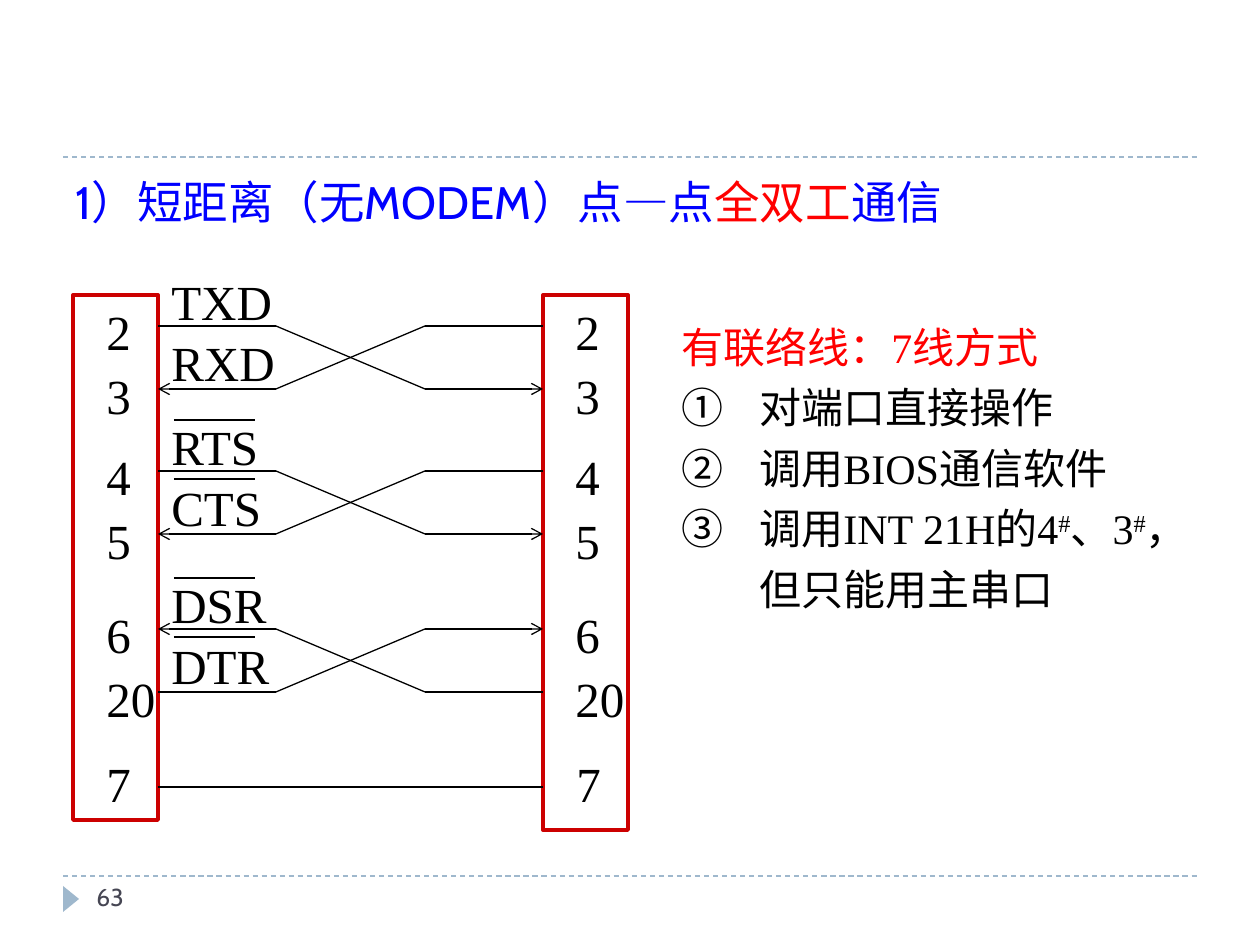
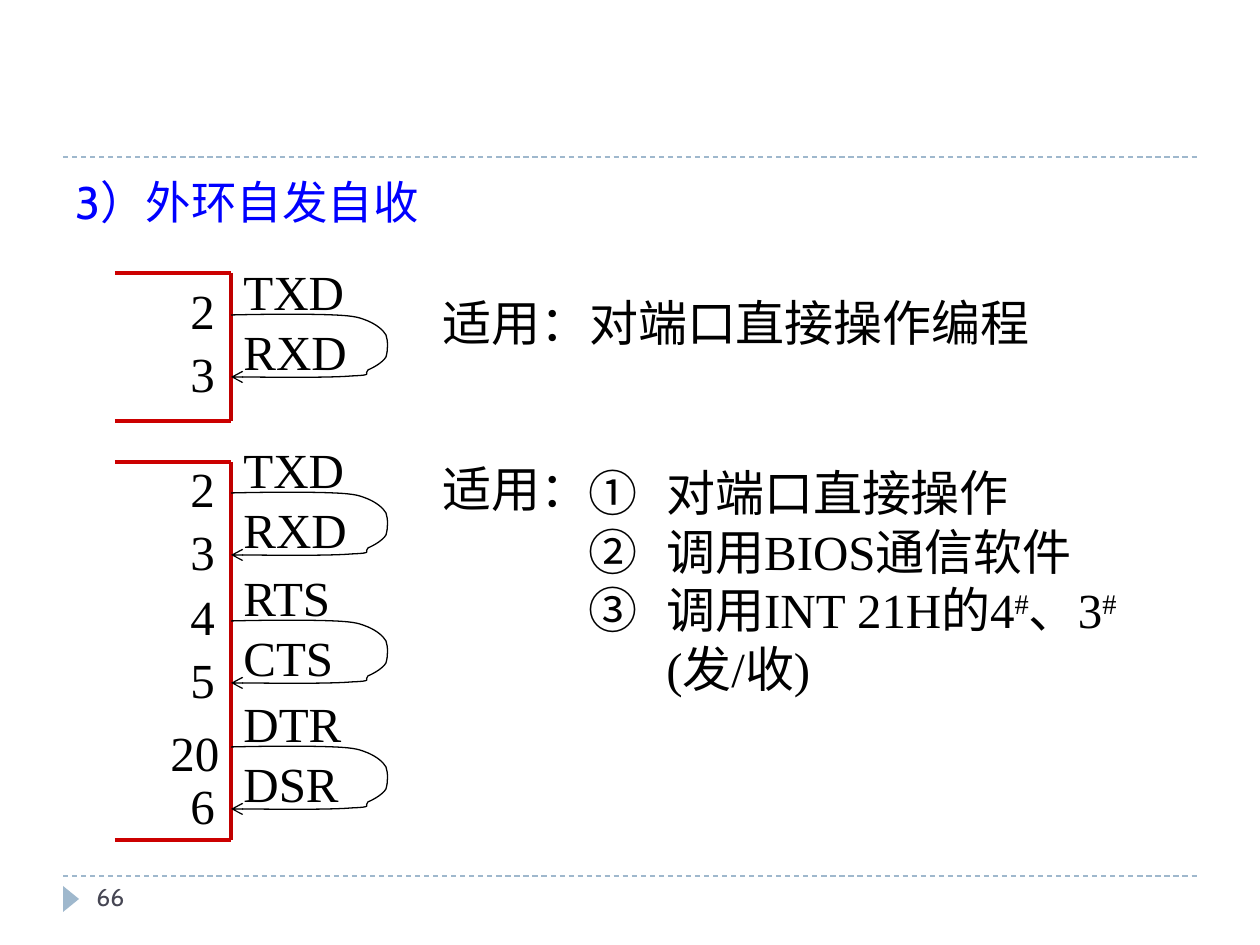
import collections
import dataclasses

import lxml.etree
import pptx
import pptx.dml.color
import pptx.enum.dml
import pptx.enum.shapes
import pptx.oxml.ns
import pptx.util

PX = 914400 / 126
Box = collections.namedtuple("Box", "x y w h")
Wire = collections.namedtuple("Wire", "top pins names entry barred")
Loop = collections.namedtuple("Loop", "top pins names")
Port = collections.namedtuple("Port", "box loops")


@dataclasses.dataclass(frozen=True)
class Theme:
    blue: str = "0000FF"
    red: str = "FF0000"
    frame: str = "CC0000"
    side: str = "C00000"
    black: str = "000000"
    rule: str = "9FB8CD"
    page: str = "464653"
    sans: str = "Cabin"
    serif: str = "Times New Roman"
    head: int = 26
    label: int = 28
    note: int = 24
    foot: int = 14
    thin: float = 0.75
    thick: float = 2.25


THEME = Theme()
PAGE = Box(0, 0, 1260, 945)
LINK = [
    Wire(31, ("2", "3"), ("TXD", "RXD"), 1, False),
    Wire(176, ("4", "5"), ("RTS", "CTS"), 1, True),
    Wire(334, ("6", "20"), ("DSR", "DTR"), 0, True),
]
DATA = (("2", "3"), ("TXD", "RXD"))
PORTS = [
    Port(Box(115, 273, 116, 148), [Loop(42, *DATA)]),
    Port(Box(115, 462, 116, 378), [
        Loop(31, *DATA),
        Loop(159, ("4", "5"), ("RTS", "CTS")),
        Loop(285, ("20", "6"), ("DTR", "DSR")),
    ]),
]
CURVE = [
    (40, -1), (81, -1), (103, 0),
    (126, 1), (129, 3), (137, 6),
    (146, 10), (152, 15), (155, 20),
    (157, 26), (157, 35), (155, 42),
    (152, 47), (144, 52), (137, 55),
    (132, 59), (144, 60), (121, 61),
    (97, 63), (20, 62), (0, 62),
]


def emu(*marks):
    return [round(mark * PX) for mark in marks]


def paint(color):
    return pptx.dml.color.RGBColor.from_string(color)


def add(parent, tag, **attrs):
    return lxml.etree.SubElement(parent, pptx.oxml.ns.qn(tag), **attrs)


def stroke(shape, color, width, arrow=False):
    shape.line.color.rgb = paint(color)
    shape.line.width = pptx.util.Pt(width)
    if arrow:
        add(shape.line._get_or_add_ln(), "a:tailEnd", type="arrow")


def line(slide, start, end, color=THEME.black, width=THEME.thin, arrow=False, dash=False):
    link = slide.shapes.add_connector(
        pptx.enum.shapes.MSO_CONNECTOR.STRAIGHT, *emu(*start, *end))
    stroke(link, color, width, arrow)
    if dash:
        link.line.dash_style = pptx.enum.dml.MSO_LINE.DASH
    add(link._element.spPr, "a:effectLst")


def frame(slide, box):
    text = slide.shapes.add_textbox(*emu(*box)).text_frame
    text.word_wrap = True
    return text


def style(para, size, color=THEME.black, name=THEME.serif):
    para.font.size = pptx.util.Pt(size)
    para.font.name = name
    para.font.color.rgb = paint(color)


def write(slide, box, words, size=THEME.label, color=THEME.black, name=THEME.serif):
    para = frame(slide, box).paragraphs[0]
    para.text = words
    style(para, size, color, name)


def label(slide, x, y, words):
    write(slide, Box(x, y, 180, 72), words)


def notes(slide, box, items, size, space, lead=None):
    text = frame(slide, box)
    rows = ([lead] if lead else []) + items
    for i, row in enumerate(rows):
        para = text.add_paragraph() if i else text.paragraphs[0]
        props = para._p.get_or_add_pPr()
        hang, = emu(78)
        props.set("marL", str(hang))
        props.set("indent", str(-hang))
        if row != lead:
            add(props, "a:buAutoNum", type="circleNumDbPlain")
        para.line_spacing = space
        style(para, size, THEME.red if row == lead else THEME.black)
        for j, part in enumerate(row.split("#")):
            if j:
                mark = para.add_run()
                mark.text = "#"
                mark.font._element.set("baseline", "30000")
            if part:
                para.add_run().text = part


def base(deck, box, parts, number):
    slide = deck.slides.add_slide(deck.slide_layouts[6])
    left, right = box.x + 63, box.x + box.w - 63
    for y in (box.y + 876, box.y + 157):
        line(slide, (left, y), (right, y), THEME.rule, dash=True)
    mark = slide.shapes.add_shape(
        pptx.enum.shapes.MSO_SHAPE.ISOSCELES_TRIANGLE,
        *emu(box.x + 58, box.y + 891, 26, 16))
    mark.rotation = 90
    mark.shadow.inherit = False
    mark.fill.solid()
    mark.fill.fore_color.rgb = paint(THEME.rule)
    mark.line.fill.background()
    para = frame(slide, Box(left, box.y + 168, right - left, 680)).paragraphs[0]
    para.space_before = pptx.util.Pt(6)
    style(para, THEME.head, THEME.blue, THEME.sans)
    for words, color in parts:
        run = para.add_run()
        run.text = words
        run.font.color.rgb = paint(color)
    write(slide, Box(box.x + 84, box.y + 876, 274, 50), number,
          THEME.foot, THEME.page, THEME.sans)
    return slide


def cross(slide, box, wire):
    left, near, far, right = (box.x + step for step in (85, 203, 352, 470))
    top = box.y + wire.top
    rows = (top, top + 63)
    for i, y in enumerate(rows):
        entry = i == wire.entry
        line(slide, (near, y), (left, y), arrow=entry)
        line(slide, (far, y), (right, y), arrow=entry)
        line(slide, (near, y), (far, rows[1 - i]))
        for x in (box.x + 21, box.x + 490):
            label(slide, x, top - 31 + 64 * i, wire.pins[i])
        label(slide, left + 1, top - 61 + 61 * i, wire.names[i])
        if wire.barred:
            bar = top - 51 + 59 * i
            line(slide, (left + 16, bar), (left + 97, bar))


def wiring(slide, box):
    for x, high in ((0, box.h - 10), (470, box.h)):
        port = slide.shapes.add_shape(
            pptx.enum.shapes.MSO_SHAPE.RECTANGLE, *emu(box.x + x, box.y, 85, high))
        port.shadow.inherit = False
        port.fill.background()
        stroke(port, THEME.frame, THEME.thick)
        label(slide, box.x + x + 21, box.y + 452, "7")
    for wire in LINK:
        cross(slide, box, wire)
    ground = box.y + 492
    line(slide, (box.x + 85, ground), (box.x + 470, ground))


def bend(slide, x, y):
    build = slide.shapes.build_freeform(*emu(x, y))
    build.add_line_segments([emu(x + dx, y + dy) for dx, dy in CURVE], close=False)
    shape = build.convert_to_shape()
    shape.shadow.inherit = False
    shape.fill.background()
    stroke(shape, THEME.black, THEME.thin, True)
    track = next(shape._element.iter(pptx.oxml.ns.qn("a:path")))
    steps = track.findall(pptx.oxml.ns.qn("a:lnTo"))
    for i in range(0, len(steps), 3):
        curve = add(track, "a:cubicBezTo")
        for step in steps[i:i + 3]:
            curve.append(step[0])
            track.remove(step)


def socket(slide, box, loops):
    edge, foot = box.x + box.w, box.y + box.h
    for y in (box.y, foot):
        line(slide, (box.x, y), (edge, y), THEME.frame, THEME.thick)
    line(slide, (edge, box.y), (edge, foot), THEME.side, THEME.thick)
    for loop in loops:
        top = box.y + loop.top
        bend(slide, edge, top)
        for i, (pin, name) in enumerate(zip(loop.pins, loop.names)):
            wide = len(pin) - 1
            label(slide, edge - 53 - 20 * wide, top - 41 + 63 * i + 10 * wide, pin)
            label(slide, edge, top - 60 + 60 * i, name)


def duplex(deck):
    slide = base(deck, PAGE, [
        ("1）短距离（无MODEM）点—点", THEME.blue),
        ("全双工", THEME.red),
        ("通信", THEME.blue),
    ], "63")
    notes(slide, Box(669, 305, 546, 318),
          ["对端口直接操作", "调用BIOS通信软件", "调用INT 21H的4#、3#，但只能用主串口"],
          THEME.note, 1.2, "有联络线：7线方式")
    wiring(slide, Box(73, 295, 555, 535))


def echo(deck):
    slide = base(deck, PAGE, [("3）外环自发自收", THEME.blue)], "66")
    for port in PORTS:
        socket(slide, port.box, port.loops)
    write(slide, Box(430, 286, 725, 72), "适用：对端口直接操作编程")
    write(slide, Box(430, 452, 209, 72), "适用：")
    notes(slide, Box(576, 456, 620, 248),
          ["对端口直接操作", "调用BIOS通信软件", "调用INT 21H的4#、3# (发/收)"],
          THEME.label, 1.0)


def main():
    deck = pptx.Presentation()
    deck.slide_width, deck.slide_height = emu(PAGE.w, PAGE.h)
    duplex(deck)
    echo(deck)
    deck.save("out.pptx")


if __name__ == "__main__":
    main()
